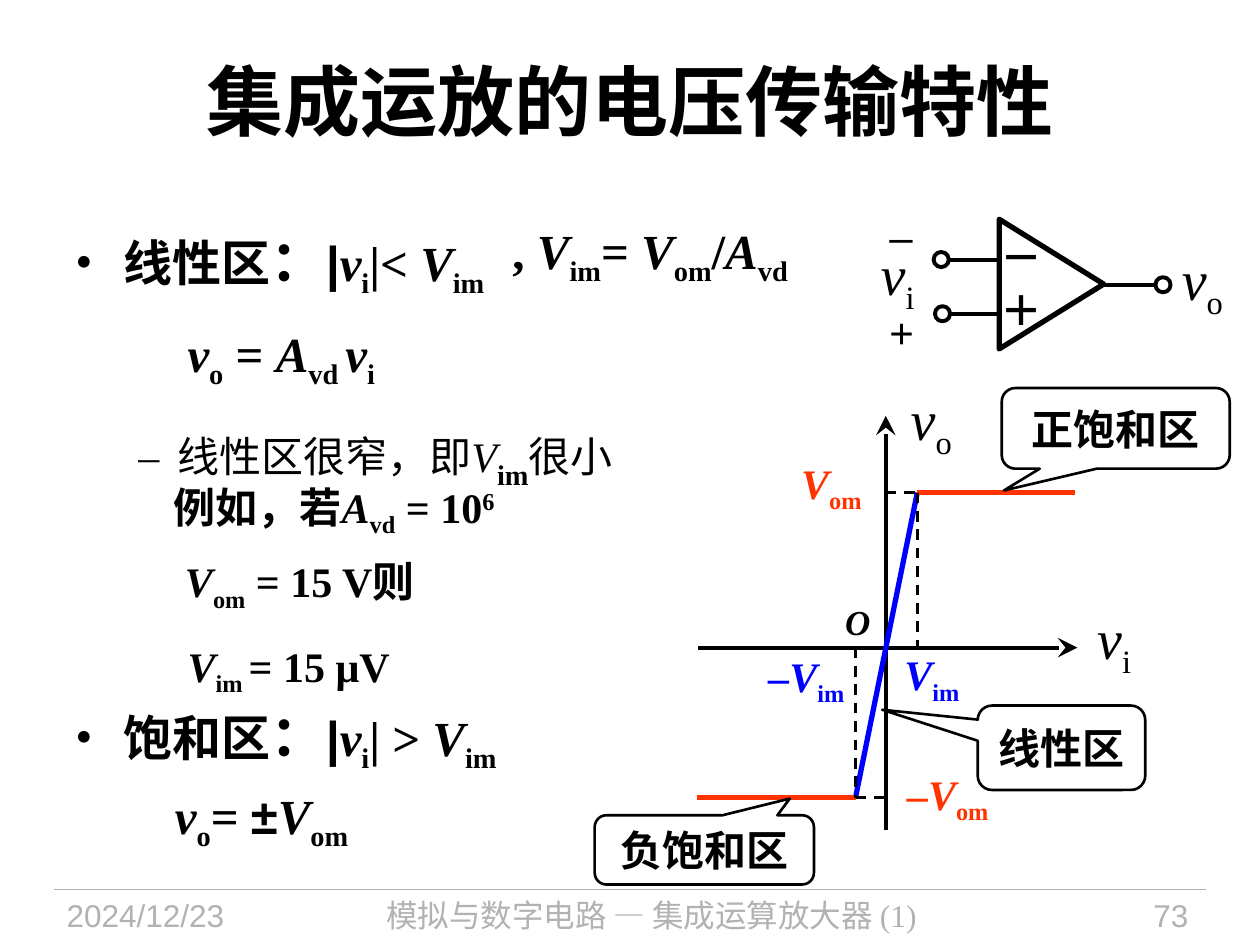
from dataclasses import dataclass, replace

from lxml.etree import SubElement
from pptx import Presentation
from pptx.dml.color import RGBColor
from pptx.enum.dml import MSO_LINE
from pptx.enum.lang import MSO_LANGUAGE_ID
from pptx.enum.shapes import MSO_CONNECTOR, MSO_SHAPE
from pptx.enum.text import MSO_ANCHOR, MSO_AUTO_SIZE, PP_ALIGN
from pptx.oxml.ns import qn
from pptx.util import Inches, Pt


@dataclass(frozen=True)
class Theme:
    """Colours, fonts and type sizes of the slide."""
    black: RGBColor = RGBColor(0, 0, 0)
    white: RGBColor = RGBColor(255, 255, 255)
    grey: RGBColor = RGBColor(0xB2, 0xB2, 0xB2)
    red: RGBColor = RGBColor(0xFF, 0x33, 0)
    blue: RGBColor = RGBColor(0, 0, 0xFF)
    sans: str = "Arial"
    serif: str = "Times New Roman"
    title: int = 44
    symbol: int = 32
    body: int = 28
    detail: int = 24
    origin: int = 20
    footer: int = 18


THEME = Theme()


@dataclass(frozen=True)
class Style:
    """Look of one run of text."""
    size: int = THEME.detail
    font: str = THEME.serif
    color: RGBColor = THEME.black
    bold: bool = True
    italic: bool = False
    baseline: int = 0


@dataclass(frozen=True)
class Region:
    """A box on the slide in which parts are placed by relative inches."""
    shapes: object
    left: float
    top: float
    width: float
    height: float

    def point(self, x, y):
        """Return the slide position of a point in the region."""
        return Inches(self.left + x), Inches(self.top + y)


DETAIL = Style()
BODY = Style(size=THEME.body)
HEADING = replace(BODY, font=THEME.sans)
COLON = replace(HEADING, size=THEME.symbol)
SYMBOL = Style(size=THEME.symbol, bold=False)


def variable(letter, index, style):
    """Return the runs of an italic letter with a subscript."""
    return [(letter, replace(style, italic=True)), (index, replace(style, baseline=-25))]


def write(paragraph, runs):
    """Add styled runs to a paragraph."""
    for text, style in runs:
        run = paragraph.add_run()
        run.text = text
        font = run.font
        font.size, font.name = Pt(style.size), style.font
        font.bold, font.italic = style.bold, style.italic
        font.color.rgb = style.color
        font.language_id = MSO_LANGUAGE_ID.SIMPLIFIED_CHINESE
        if style.baseline:
            font._element.set("baseline", str(style.baseline * 1000))


def add_frame(region, x, y, width, height):
    """Add an empty wrapping text box and return its frame."""
    frame = region.shapes.add_textbox(*region.point(x, y), Inches(width), Inches(height)).text_frame
    frame.word_wrap = True
    return frame


def add_label(region, x, y, width, height, runs, wrap=False, align=PP_ALIGN.LEFT, spacing=1.0, inset=True):
    """Add a one-paragraph label that grows with its text."""
    frame = add_frame(region, x, y, width, height)
    frame.word_wrap = wrap
    frame.auto_size = MSO_AUTO_SIZE.SHAPE_TO_FIT_TEXT
    if not inset:
        frame.margin_left = frame.margin_right = frame.margin_top = frame.margin_bottom = 0
    paragraph = frame.paragraphs[0]
    paragraph.alignment, paragraph.line_spacing = align, spacing
    write(paragraph, runs)


def add_line(region, start, end, color=THEME.black, width=2.25, dashed=False, arrow=False):
    """Add a straight line, optionally dashed or with an arrowhead."""
    line = region.shapes.add_connector(MSO_CONNECTOR.STRAIGHT, *region.point(*start), *region.point(*end))
    line.line.color.rgb, line.line.width = color, Pt(width)
    if dashed:
        line.line.dash_style = MSO_LINE.DASH
    if arrow:
        SubElement(line.line._get_or_add_ln(), qn("a:tailEnd"), type="stealth", w="lg", len="lg")
    SubElement(line._element.spPr, qn("a:effectLst"))


def add_outline(region, kind, x, y, width, height, weight, fill=None):
    """Add a black-outlined preset shape."""
    shape = region.shapes.add_shape(kind, *region.point(x, y), Inches(width), Inches(height))
    shape.shadow.inherit = False
    shape.line.color.rgb, shape.line.width = THEME.black, Pt(weight)
    if fill is None:
        shape.fill.background()
    else:
        shape.fill.solid()
        shape.fill.fore_color.rgb = fill
    return shape


def add_callout(region, x, y, width, height, tip, text):
    """Add a rounded callout whose tip is given relative to its size."""
    shape = add_outline(region, MSO_SHAPE.ROUNDED_RECTANGULAR_CALLOUT, x, y, width, height, 1.5)
    for index, value in enumerate((*tip, 0.17)):
        shape.adjustments[index] = value
    frame = shape.text_frame
    frame.word_wrap, frame.vertical_anchor = False, MSO_ANCHOR.MIDDLE
    frame.paragraphs[0].alignment = PP_ALIGN.CENTER
    write(frame.paragraphs[0], [(text, DETAIL)])


def add_items(region, items, spacing):
    """Fill the region with bullet, indent, space-before and run items."""
    frame = add_frame(region, 0, 0, region.width, region.height)
    for index, (bullet, margin, indent, before, runs) in enumerate(items):
        paragraph = frame.add_paragraph() if index else frame.paragraphs[0]
        properties = paragraph._p.get_or_add_pPr()
        properties.set("marL", str(Inches(margin)))
        properties.set("indent", str(Inches(indent)))
        if bullet:
            SubElement(properties, qn("a:buFont"), typeface=THEME.serif)
            SubElement(properties, qn("a:buChar"), char=bullet)
        else:
            SubElement(properties, qn("a:buNone"))
        paragraph.line_spacing, paragraph.space_after = spacing, Pt(6.5)
        if before:
            paragraph.space_before = Pt(before)
        write(paragraph, runs)


def build_title(slide, region):
    """Place and format the slide title."""
    title = slide.shapes.title
    title.left, title.top = region.point(0, 0)
    title.width, title.height = Inches(region.width), Inches(region.height)
    frame = title.text_frame
    frame.vertical_anchor = MSO_ANCHOR.MIDDLE
    frame.paragraphs[0].alignment = PP_ALIGN.CENTER
    write(frame.paragraphs[0], [("集成运放的电压传输特性", Style(THEME.title, THEME.sans))])


def build_footer(region):
    """Draw the footer rule, date, course name and page number."""
    add_line(region, (0, 0), (region.width, 0), THEME.grey, 0.75)
    for x, width, align, font, text in (
        (0, 1.88, PP_ALIGN.LEFT, THEME.sans, "2024/12/23"),
        (2.06, 5.36, PP_ALIGN.CENTER, THEME.serif, "模拟与数字电路 — 集成运算放大器 (1)"),
        (7.77, 1.33, PP_ALIGN.RIGHT, THEME.sans, "73"),
    ):
        paragraph = add_frame(region, x, 0, width, region.height).paragraphs[0]
        paragraph.alignment = align
        write(paragraph, [(text, Style(THEME.footer, font, THEME.grey, False))])


def build_linear_notes(region):
    """Write the linear region's condition, formula and example."""
    plain = Style(font=THEME.sans, bold=False)
    add_items(region, [
        ("•", 0.38, -0.38, 0, [("线性区", HEADING), ("：", COLON), ("|", HEADING),
                               *variable("v", "i", BODY), ("|< ", BODY), *variable("V", "im", BODY)]),
        (None, 0.89, 0, 0, [*variable("v", "o", BODY), (" = ", BODY), *variable("A", "vd ", BODY),
                            *variable("v", "i", BODY)]),
        ("–", 0.81, -0.31, 4.8, [("线性区很窄，即", plain), ("V", Style(bold=False, italic=True)),
                                 ("im", replace(BODY, baseline=-25)), ("很小", plain)]),
    ], 1.2)
    add_label(region, 3.4, 0.08, 2.52, 0.57, [
        (", ", BODY), *variable("V", "im", BODY), ("= ", BODY), *variable("V", "om", BODY),
        ("/", BODY), *variable("A", "vd", BODY)], align=PP_ALIGN.CENTER)
    add_label(region, 0.78, 2.15, 3.72, 0.5, [
        ("例如，若", DETAIL), *variable("A", "vd", DETAIL), (" = 10", DETAIL),
        ("6", replace(DETAIL, baseline=30))], wrap=True)
    add_label(region, 0.87, 2.74, 2.14, 0.5, [*variable("V", "om", DETAIL), (" = 15 V则", DETAIL)], wrap=True)
    add_label(region, 0.89, 3.32, 1.99, 0.58, [*variable("V", "im ", DETAIL), ("= 15 μV", DETAIL)], spacing=1.2)


def build_saturation_notes(region):
    """Write the saturation region's condition and output."""
    add_items(region, [
        ("•", 0.38, -0.38, 0, [("饱和区", HEADING), ("：", COLON), ("|", HEADING),
                               *variable("v", "i", BODY), ("| > ", BODY), *variable("V", "im", BODY)]),
        (None, 0.79, 0, 0, [*variable("v", "o", BODY), ("= ", BODY), ("±", HEADING), *variable("V", "om", BODY)]),
    ], 1.0)


def build_amplifier(region):
    """Draw the operational amplifier with its terminals."""
    for y, sign, sign_y in ((0.44, "－", 0.17), (0.87, "＋", 0.59)):
        add_label(region, 0.96, sign_y, 0.6, 0.5, [(sign, DETAIL)], wrap=True)
        add_line(region, (0.66, y), (1.07, y))
    add_line(region, (1.88, 0.64), (2.29, 0.64))
    add_outline(region, MSO_SHAPE.ISOSCELES_TRIANGLE, 0.95, 0.22, 1.03, 0.83, 3).rotation = 90
    for x, y, width, index in ((0.11, 0.28, 0.3, "i"), (2.5, 0.32, 0.4, "o")):
        add_label(region, x, y, width, 0.53, variable("v", index, SYMBOL), wrap=True, inset=False)
    for y, sign in ((0.76, "+"), (0, "–")):
        add_label(region, 0.08, y, 0.4, 0.5, [(sign, Style(font=THEME.sans, bold=False))])
    for x, y in ((2.29, 0.58), (0.53, 0.38), (0.54, 0.81)):
        add_outline(region, MSO_SHAPE.OVAL, x, y, 0.12, 0.12, 2.25, THEME.white)


def build_transfer_curve(region):
    """Draw the voltage transfer characteristic with its labels."""
    axis_x, axis_y = 2.31, 2.08
    right, upper, left, lower = 2.56, 0.85, 2.07, 3.27
    add_line(region, (axis_x, 3.53), (axis_x, 0.24), arrow=True)
    add_line(region, (0.82, axis_y), (3.83, axis_y), arrow=True)
    for start, end, color in (
        ((right, upper), (left, lower), THEME.blue),
        ((right, upper), (3.81, upper), THEME.red),
        ((0.81, lower), (left, lower), THEME.red),
    ):
        add_line(region, start, end, color, 3)
    for start, end in (
        ((left, axis_y), (left, lower)), ((right, upper), (right, axis_y)),
        ((axis_x, upper), (right, upper)), ((left, lower), (axis_x, lower)),
    ):
        add_line(region, start, end, width=1.5, dashed=True)
    for x, y, width, letter, index, color in (
        (1.54, 0.52, 0.72, "V", "om", THEME.red), (2.38, 2.99, 0.89, "–V", "om", THEME.red),
        (2.36, 2.04, 0.67, "V", "im", THEME.blue), (1.28, 2.05, 0.84, "–V", "im", THEME.blue),
    ):
        add_label(region, x, y, width, 0.5, variable(letter, index, Style(color=color)))
    add_label(region, 1.89, 1.66, 0.4, 0.43, [("O", Style(THEME.origin, italic=True))])
    add_label(region, 3.89, 1.68, 0.56, 0.63, variable("v", "i", SYMBOL), wrap=True)
    add_label(region, 2.41, 0, 0.67, 0.53, variable("v", "o", SYMBOL), wrap=True, spacing=0.8)
    add_callout(region, 3.04, 2.54, 1.33, 0.67, (-1.07, -0.45), "线性区")
    add_callout(region, 3.23, 0.02, 1.81, 0.64, (-0.49, 0.77), "正饱和区")
    add_callout(region, 0, 3.41, 1.74, 0.55, (0.39, -0.74), "负饱和区")


def main():
    """Build the slide and save it."""
    presentation = Presentation()
    presentation.slide_width, presentation.slide_height = Inches(10), Inches(7.5)
    slide = presentation.slides.add_slide(presentation.slide_layouts[5])
    shapes = slide.shapes
    build_footer(Region(shapes, 0.43, 7.06, 9.14, 0.44))
    build_title(slide, Region(shapes, 0.5, 0.17, 9, 1.25))
    build_linear_notes(Region(shapes, 0.5, 1.62, 5.13, 2.52))
    build_transfer_curve(Region(shapes, 4.72, 3.06, 5.04, 3.96))
    build_saturation_notes(Region(shapes, 0.5, 5.51, 4.03, 1.43))
    build_amplifier(Region(shapes, 6.88, 1.62, 2.84, 1.26))
    presentation.save("out.pptx")


if __name__ == "__main__":
    main()
